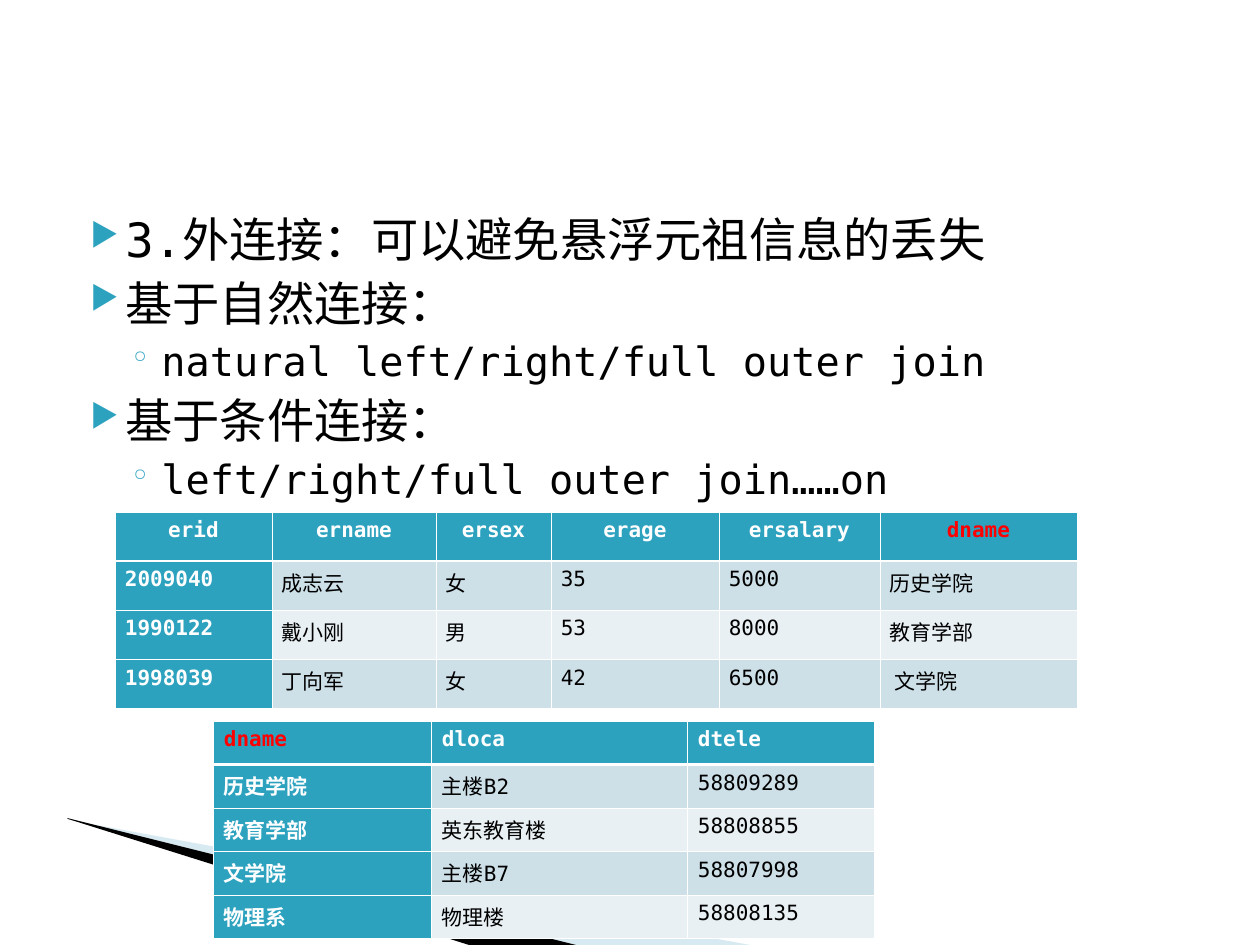
from lxml.etree import SubElement
from pptx import Presentation
from pptx.dml.color import RGBColor
from pptx.enum.text import MSO_ANCHOR, PP_ALIGN
from pptx.oxml import parse_xml
from pptx.oxml.ns import nsdecls, qn
from pptx.util import Pt

PX = 914400 / 126
COLORS = {
    "teal": "2DA2BF", "pale": "9FCBDC", "black": "000000", "white": "FFFFFF",
    "red": "FF0000", "band": "CDE0E8", "light": "E8F0F4",
}
MONO, SANS = "DejaVu Sans Mono", "Arial"
LEVELS = [("▶", 50, -35, 27, 4), ("◦", 86, -32, 23, 3.3)]


def px(n):
    return round(n * PX)


def rgb(name):
    return RGBColor.from_string(COLORS[name])


class Deck:
    def __init__(self, width, height):
        self.prs = Presentation()
        self.prs.slide_width, self.prs.slide_height = px(width), px(height)
        self.s = self.prs.slides.add_slide(self.prs.slide_layouts[6])

    def run(self, p, text, size, color, font, bold=False):
        r = p.add_run()
        r.text = text
        r.font.size, r.font.name, r.font.bold = Pt(size), font, bold
        r.font.color.rgb = rgb(color)

    def wedge(self, points, color, alpha=None):
        fb = self.s.shapes.build_freeform(*points[0], scale=PX)
        fb.add_line_segments(points[1:], close=True)
        sp = fb.convert_to_shape()
        sp.shadow.inherit = False
        sp.line.fill.background()
        sp.fill.solid()
        sp.fill.fore_color.rgb = rgb(color)
        if alpha:
            clr = sp._element.spPr.find(qn("a:solidFill"))[0]
            SubElement(clr, qn("a:alpha"), val=str(alpha * 1000))

    def bullets(self, x, y, w, h, items):
        tf = self.s.shapes.add_textbox(px(x), px(y), px(w), px(h)).text_frame
        tf.word_wrap = True
        for i, (level, text) in enumerate(items):
            char, margin, indent, size, before = LEVELS[level]
            p = tf.paragraphs[0] if i == 0 else tf.add_paragraph()
            p.level = level
            p.space_before = Pt(before if i else 0)
            pPr = p._p.get_or_add_pPr()
            pPr.set("marL", str(px(margin)))
            pPr.set("indent", str(px(indent)))
            clr = SubElement(pPr, qn("a:buClr"))
            SubElement(clr, qn("a:srgbClr"), val=COLORS["teal"])
            SubElement(pPr, qn("a:buSzPct"), val="68000")
            SubElement(pPr, qn("a:buChar"), char=char)
            self.run(p, text, size, "black", MONO)

    def borders(self, cell, row):
        tcPr = cell._tc.get_or_add_tcPr()
        widths = {"L": 0.45, "R": 0.45,
                  "T": 1.47 if row == 1 else 0.45,
                  "B": 1.47 if row == 0 else 0.45}
        for i, (side, width) in enumerate(widths.items()):
            tcPr.insert(i, parse_xml(
                f'<a:ln{side} {nsdecls("a")} w="{Pt(width)}"><a:solidFill>'
                f'<a:srgbClr val="{COLORS["white"]}"/></a:solidFill></a:ln{side}>'))

    def table(self, x, y, widths, height, rows, key, inset, header_align):
        frame = self.s.shapes.add_table(
            len(rows), len(widths), px(x), px(y), px(sum(widths)), px(height))
        tbl = frame.table
        tbl.horz_banding = False
        for col, width in zip(tbl.columns, widths):
            col.width = px(width)
        for r, row in enumerate(rows):
            tbl.rows[r].height = px(height / len(rows))
            for c, content in enumerate(row):
                cell = tbl.cell(r, c)
                strong = r == 0 or c == 0
                cell.fill.solid()
                cell.fill.fore_color.rgb = rgb(
                    "teal" if strong else "band" if r % 2 else "light")
                self.borders(cell, r)
                cell.margin_left = cell.margin_right = px(inset)
                cell.margin_top = cell.margin_bottom = px(6)
                cell.vertical_anchor = MSO_ANCHOR.TOP
                p = cell.text_frame.paragraphs[0]
                p.alignment = header_align if r == 0 else PP_ALIGN.JUSTIFY
                color = "white" if strong else "black"
                if r == 0 and content == key:
                    color = "red"
                for text in content.split("|"):
                    font = MONO if text.isascii() else SANS
                    self.run(p, text, 12, color, font, strong)


def main():
    deck = Deck(1260, 945)
    deck.wedge([(69, 820), (750, 945), (575, 945), (69, 819)], "pale", 40)
    deck.wedge([(67, 818), (576, 945), (469, 945), (68, 819)], "black")
    deck.bullets(63, 204, 1134, 624, [
        (0, "3.外连接：可以避免悬浮元祖信息的丢失"),
        (0, "基于自然连接："),
        (1, "natural left/right/full outer join"),
        (0, "基于条件连接："),
        (1, "left/right/full outer join……on"),
    ])
    deck.table(115, 512, [157, 164, 115, 168, 161, 197], 197, [
        ["erid", "ername", "ersex", "erage", "ersalary", "dname"],
        ["2009040", "成志云", "女", "35", "5000", "历史学院"],
        ["1990122", "戴小刚", "男", "53", "8000", "教育学部"],
        ["1998039", "丁向军", "女", "42", "6500", " 文学院"],
    ], "dname", 10, PP_ALIGN.CENTER)
    deck.table(213, 721, [218, 256, 187], 218, [
        ["dname", "dloca", "dtele"],
        ["历史学院", "主楼|B2", "58809289"],
        ["教育学部", "英东教育楼", "58808855"],
        ["文学院", "主楼|B7", "58807998"],
        ["物理系", "物理楼", "58808135"],
    ], "dname", 11, PP_ALIGN.LEFT)
    deck.prs.save("out.pptx")


if __name__ == "__main__":
    main()
